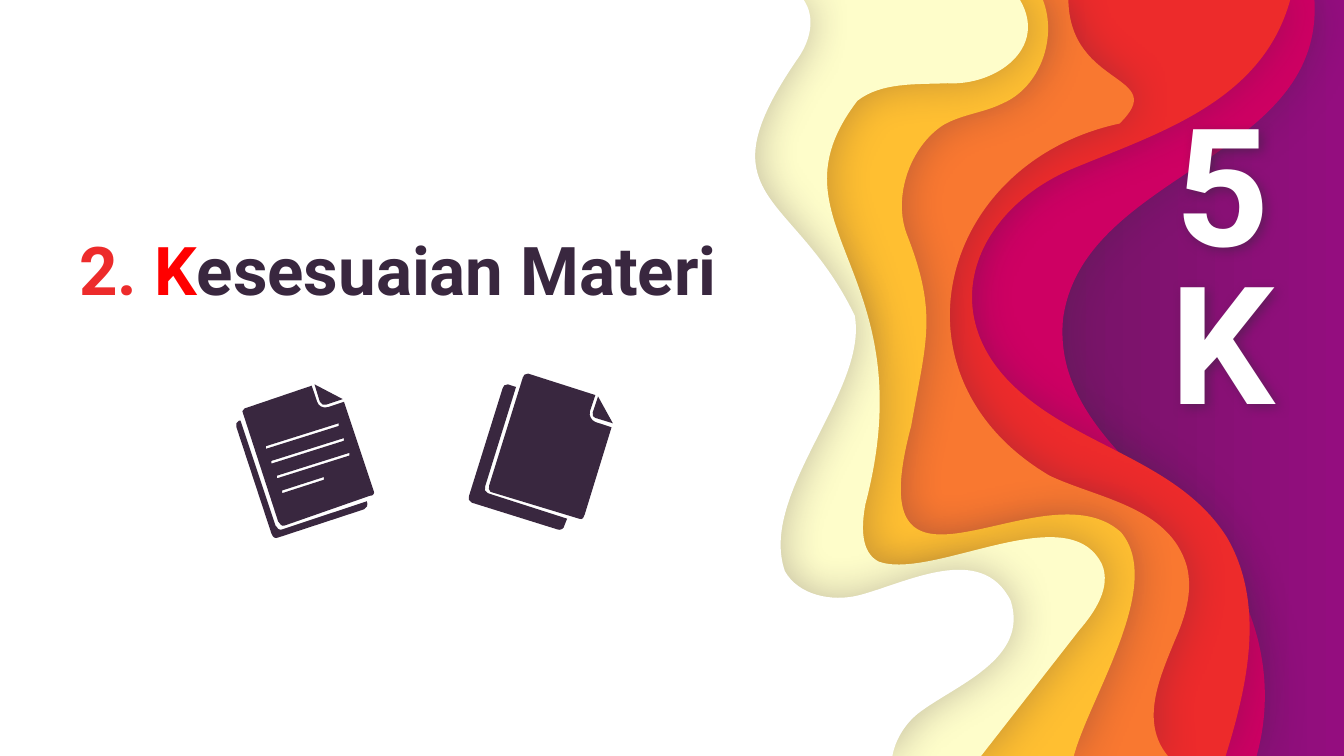
"""Build the "Kesesuaian Materi" title slide with layered waves and two paper icons."""
from dataclasses import dataclass

from lxml import etree
from pptx import Presentation
from pptx import util as u
from pptx.dml.color import RGBColor
from pptx.enum import text
from pptx.oxml.ns import qn

Segment = tuple[float, ...]
Point = tuple[float, float]

UNIT = 72
WIDTH, HEIGHT = 720, 405
INK, RED, WHITE = "39273F", "ED2B2B", "FFFFFF"


@dataclass(frozen=True)
class Wave:
    """A layer from the left edge: its right edge runs from start to the top, then up from the bottom."""
    colour: str
    start: Point
    upper: tuple[Segment, ...]
    bottom: float
    lower: tuple[Segment, ...]

    def outline(self) -> list[Segment]:
        foot = HEIGHT / UNIT
        return [self.start, *self.upper, (0, 0), (0, foot), (self.bottom, foot), *self.lower]


@dataclass(frozen=True)
class Label:
    """A bold text box made of coloured runs."""
    left: float
    top: float
    width: float
    height: float
    size: float
    align: text.PP_ALIGN
    runs: tuple[tuple[str, str], ...]


WAVES = (
    Wave("CE0063", (9.14, 4.25),
         ((8.74, 3.64, 7.83, 3.19, 7.91, 2.37), (8.06, 1.28, 9.85, 1.19, 9.78, 0)),
         9.35, ((9.48, 5.16, 9.4, 4.66, 9.14, 4.25),)),
    Wave(RED, (9.13, 4),
         ((8.79, 3.46, 8.1, 3.34, 7.63, 2.95), (6.94, 2.39, 7.21, 1.59, 7.97, 1.26),
          (8.62, 0.99, 9.39, 0.76, 9.6, 0)),
         9.12, ((9.28, 5.11, 9.42, 4.5, 9.13, 4),)),
    Wave("F97830", (8.74, 4.77),
         ((8.82, 4.59, 8.88, 4.4, 8.83, 4.21), (8.7, 3.77, 8.17, 3.71, 7.81, 3.54),
          (6.57, 2.81, 6.98, 1.21, 8.33, 0.92), (8.71, 0.55, 7.96, 0.66, 7.95, 0)),
         8.69, ((8.48, 5.37, 8.63, 5.04, 8.74, 4.77),)),
    Wave("FFBF31", (8.34, 3.96),
         ((7.76, 3.44, 6.36, 4.74, 6.78, 3.17), (6.89, 2.54, 6.98, 2.34, 6.75, 1.75),
          (6.64, 1.47, 6.77, 1.09, 7.02, 0.93), (7.16, 0.85, 7.32, 0.84, 7.46, 0.77),
          (7.74, 0.65, 7.87, 0.28, 7.76, 0)),
         7.99, ((8.11, 5.18, 8.67, 4.35, 8.34, 3.96),)),
    Wave("FEFDCA", (8.2, 4.2),
         ((7.95, 3.69, 6.95, 4.32, 6.54, 4.18), (6.4, 4.11, 6.41, 3.91, 6.44, 3.75),
          (6.9, 2, 5.67, 1.68, 6.38, 0.75), (6.56, 0.61, 6.82, 0.63, 7.05, 0.62),
          (7.41, 0.64, 7.8, 0.36, 7.59, 0)),
         7.3, ((8.03, 4.69), (8.15, 4.55, 8.27, 4.37, 8.2, 4.2))),
    Wave(WHITE, (6.83, 5.31),
         ((7.1, 5.1, 7.66, 4.91, 7.52, 4.47), (7.3, 4.03, 6.74, 4.34, 6.39, 4.43),
          (6.19, 4.48, 5.94, 4.43, 5.84, 4.25), (5.64, 3.67, 6.46, 2.91, 6.36, 2.35),
          (5.91, 1.41, 5.2, 1.5, 5.94, 0.43), (6.03, 0.3, 6.07, 0.13, 5.98, 0)),
         6.64, ((6.66, 5.51, 6.73, 5.39, 6.83, 5.31),)),
)

WRITTEN_BACK = [(1.78, 3.13), (1.76, 3.14, 1.75, 3.16, 1.76, 3.18), (2.02, 3.97),
                (2.03, 4, 2.05, 4.01, 2.07, 4), (2.71, 3.79),
                (2.73, 3.78, 2.74, 3.76, 2.73, 3.73), (2.1, 3.94),
                (2.08, 3.95, 2.06, 3.93, 2.05, 3.91), (1.79, 3.13)]
WRITTEN_FRONT = [(1.82, 3.04), (1.8, 3.05, 1.8, 3.07, 1.81, 3.08), (2.07, 3.88),
                 (2.08, 3.9, 2.1, 3.92, 2.12, 3.91), (2.75, 3.69),
                 (2.78, 3.69, 2.79, 3.67, 2.78, 3.65), (2.56, 2.99), (2.44, 3.03),
                 (2.4, 3.04, 2.37, 3.02, 2.36, 2.99), (2.32, 2.87)]
WRITTEN_FOLD = [(2.34, 2.86), (2.38, 2.99), (2.39, 3.01, 2.41, 3.02, 2.43, 3.01), (2.55, 2.97)]
BLANK_BACK = [(3.84, 2.88), (3.78, 2.86), (3.76, 2.86, 3.74, 2.87, 3.74, 2.89), (3.49, 3.69),
              (3.48, 3.71, 3.49, 3.73, 3.51, 3.74), (4.15, 3.94),
              (4.17, 3.95, 4.2, 3.93, 4.2, 3.91), (4.22, 3.86), (3.63, 3.67),
              (3.61, 3.66, 3.6, 3.64, 3.61, 3.62)]
BLANK_FRONT = [(3.93, 2.78), (3.91, 2.78, 3.89, 2.79, 3.89, 2.81), (3.64, 3.61),
               (3.63, 3.63, 3.64, 3.65, 3.65, 3.66), (4.31, 3.86),
               (4.33, 3.87, 4.35, 3.85, 4.35, 3.83), (4.55, 3.18), (4.43, 3.14),
               (4.4, 3.13, 4.38, 3.09, 4.39, 3.06), (4.43, 2.94)]
BLANK_FOLD = [(4.45, 2.95), (4.41, 3.07), (4.4, 3.09, 4.42, 3.11, 4.43, 3.11), (4.56, 3.15)]

LABELS = (
    Label(42.5, 129, 359, 36.5, 36, text.PP_ALIGN.LEFT,
          (("2. ", RED), ("K", "FF0000"), ("esesuaian Materi", INK))),
    Label(602, 171.5, 106, 62, 88, text.PP_ALIGN.CENTER, (("5K", WHITE),)),
)


def colour(code: str) -> RGBColor:
    return RGBColor.from_string(code)


def place(x: float, y: float) -> tuple[u.Length, u.Length]:
    return u.Pt(x * UNIT), u.Pt(y * UNIT)


def writing_line(row: int) -> list[Segment]:
    """Outline one slanted line of writing."""
    left, top = 1.98 + 0.04 * row, 3.33 + 0.11 * row
    run, rise = (0.31, 0.1) if row == 3 else (0.54, 0.17)
    return [(left, top - 0.01), (left + run, top - rise - 0.01),
            (left + run, top - rise + 0.01), (left, top + 0.01)]


def bend(shape, segments: list[Segment]) -> None:
    """Turn the straight segments that carry control points into cubic curves."""
    for straight, segment in zip(list(shape._element.iter(qn("a:lnTo"))), segments):
        if len(segment) == 6:
            straight.tag = qn("a:cubicBezTo")
            for index, start in enumerate((0, 2)):
                x, y = place(*segment[start:start + 2])
                control = etree.Element(qn("a:pt"), x=str(x - shape.left), y=str(y - shape.top))
                straight.insert(index, control)


def draw_outline(parts, fill: str, *outlines: list[Segment]):
    """Draw outlines as one filled shape, later ones cutting holes in the first."""
    builder = parts.build_freeform(*place(*outlines[0][0]))
    for index, outline in enumerate(outlines):
        if index:
            builder.move_to(*place(*outline[0]))
        builder.add_line_segments([place(*segment[-2:]) for segment in outline[1:]], close=True)
    shape = builder.convert_to_shape()
    bend(shape, [segment for outline in outlines for segment in outline[1:]])
    shape.shadow.inherit = False
    shape.fill.solid()
    shape.fill.fore_color.rgb = colour(fill)
    shape.line.fill.background()
    return shape


def cast_shadow(shape, blur: float, distance: float, angle: int, opacity: int) -> None:
    shape.shadow.inherit = False
    effects = shape._element.spPr.find(qn("a:effectLst"))
    shadow = etree.SubElement(effects, qn("a:outerShdw"), blurRad=str(u.Pt(blur)),
                              dist=str(u.Pt(distance)), dir=str(angle * 60000),
                              algn="ctr", rotWithShape="0")
    tint = etree.SubElement(shadow, qn("a:srgbClr"), val=INK)
    etree.SubElement(tint, qn("a:alpha"), val=str(opacity * 1000))


def draw_label(slide, label: Label):
    box = slide.shapes.add_textbox(*map(u.Pt, (label.left, label.top, label.width, label.height)))
    frame = box.text_frame
    frame.word_wrap = True
    frame.vertical_anchor = text.MSO_ANCHOR.BOTTOM
    frame.margin_left = frame.margin_top = frame.margin_right = frame.margin_bottom = u.Pt(0)
    paragraph = frame.paragraphs[0]
    paragraph.alignment = label.align
    paragraph.line_spacing = 0.8
    for words, tint in label.runs:
        run = paragraph.add_run()
        run.text = words
        run.font.name, run.font.size, run.font.bold = "Roboto", u.Pt(label.size), True
        run.font.color.rgb = colour(tint)
    return box


def main() -> None:
    deck = Presentation()
    deck.slide_width, deck.slide_height = u.Pt(WIDTH), u.Pt(HEIGHT)
    slide = deck.slides.add_slide(deck.slide_layouts[6])

    backdrop = slide.background.fill
    backdrop.gradient()
    backdrop.gradient_angle = 180
    for stop, (position, tint) in zip(backdrop.gradient_stops, ((0, "940D7F"), (0.37, "5E1B53"))):
        stop.position = position
        stop.color.rgb = colour(tint)

    layers = slide.shapes.add_group_shape().shapes
    for wave in WAVES:
        cast_shadow(draw_outline(layers, wave.colour, wave.outline()), 22.5, 0.8, 0, 30)

    title, badge = (draw_label(slide, label) for label in LABELS)
    cast_shadow(badge, 6, 2, 45, 50)

    writing = [writing_line(row) for row in range(4)]
    for icon in (([WRITTEN_BACK], [WRITTEN_FRONT, *writing], [WRITTEN_FOLD]),
                 ([BLANK_BACK], [BLANK_FRONT], [BLANK_FOLD])):
        sheets = slide.shapes.add_group_shape().shapes
        for outlines in icon:
            draw_outline(sheets, INK, *outlines)

    deck.save("out.pptx")


if __name__ == "__main__":
    main()
